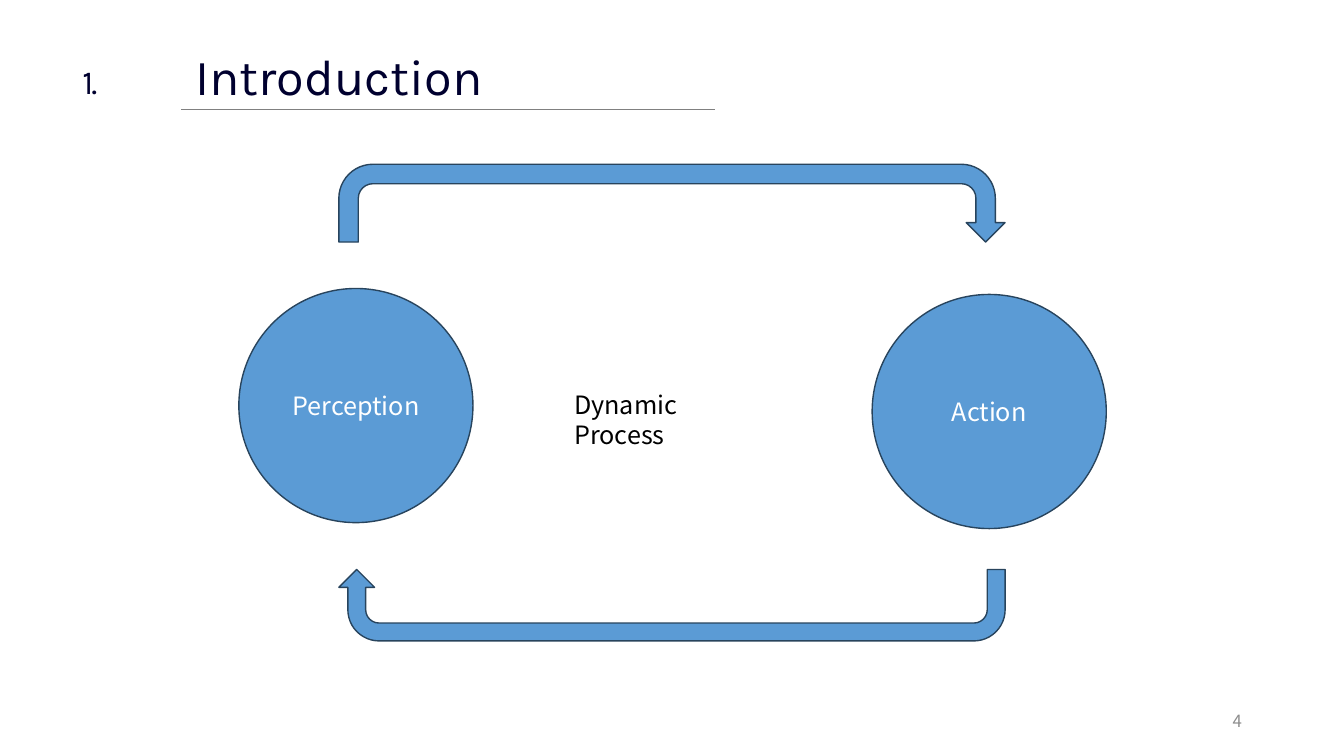
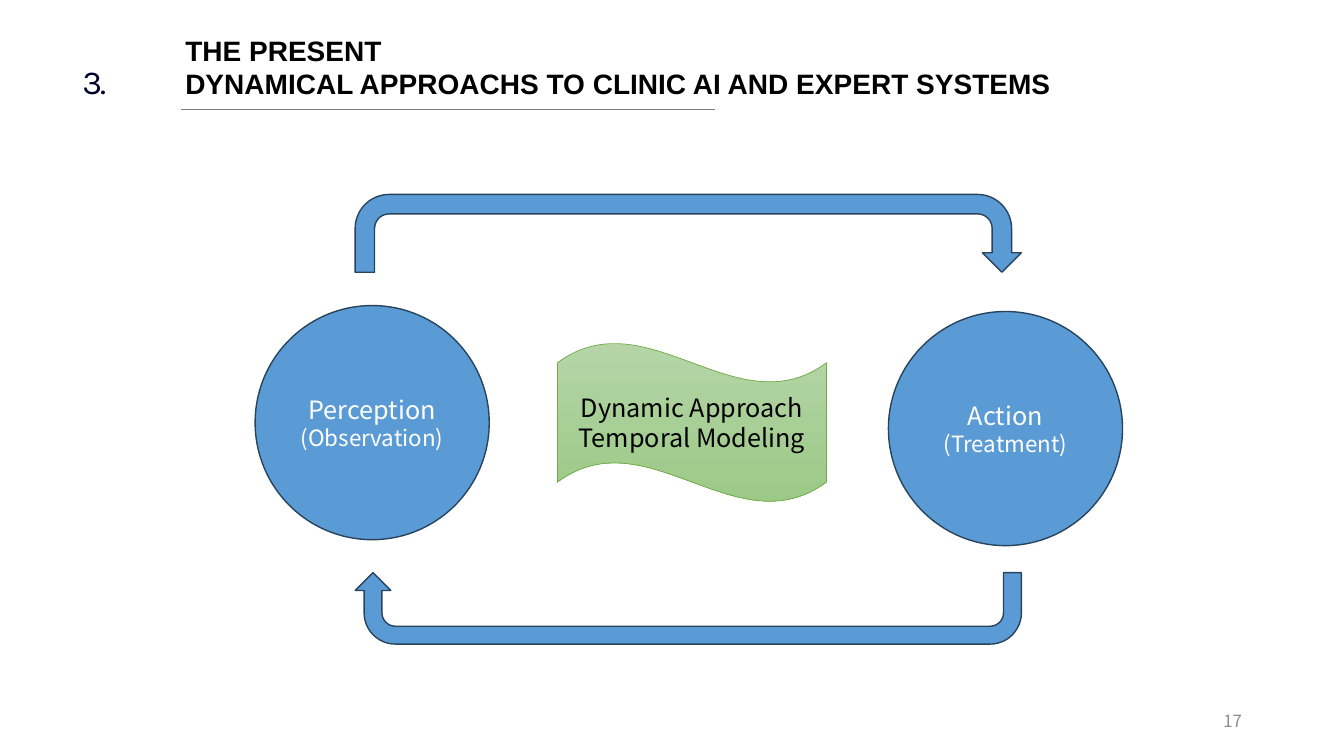
from dataclasses import dataclass

from lxml.etree import SubElement
from pptx import Presentation
from pptx.dml.color import RGBColor
from pptx.enum.shapes import MSO_CONNECTOR, MSO_SHAPE
from pptx.enum.text import MSO_ANCHOR, PP_ALIGN
from pptx.oxml.ns import qn
from pptx.shapes.autoshape import Shape
from pptx.slide import Slide
from pptx.util import Cm, Pt

COLORS = {
    "navy": "00002F", "black": "000000", "white": "FFFFFF",
    "rule": "808080", "page": "8C8C8C", "blue": "5B9BD5",
    "edge": "28445D", "green": "70AD47", "pale": "B5D5A7", "leaf": "9CC987",
}
SANS = "Noto Sans CJK KR"
DIAM = 5.9
BENDS = (0.25, 0.25, 0.25, 0.438, 1)


@dataclass(frozen=True)
class Box:
    left: float
    top: float
    width: float
    height: float


@dataclass(frozen=True)
class Style:
    size: float
    color: str
    font: str = SANS
    bold: bool = False
    align: PP_ALIGN = PP_ALIGN.LEFT
    track: int = 0


@dataclass(frozen=True)
class Cycle:
    left: float
    top: float
    upper: float
    lower: float
    sense: tuple[str, ...]
    act: tuple[str, ...]


@dataclass(frozen=True)
class Page:
    mark: str
    title: tuple[str, ...]
    head: Box
    style: Style
    cycle: Cycle
    note: tuple[str, ...]
    place: Box
    number: str
    wave: bool = False


MARK = Style(24, "navy", "Karla", track=-150)
FOOT = Style(12, "page", align=PP_ALIGN.RIGHT)
LABEL = Style(18, "white", align=PP_ALIGN.CENTER)
SUB = Style(16, "white", align=PP_ALIGN.CENTER)
NOTE = Style(18, "black")
CREST = Style(18, "black", align=PP_ALIGN.CENTER)

PAGES = (
    Page("1.", ("Introduction",), Box(4.67, 1.02, 26.64, 1.8),
         Style(36, "navy", "Karla"),
         Cycle(6.02, 7.27, 4.14, 14.35, ("Perception",), ("Action",)),
         ("Dynamic Process",), Box(14.22, 9.68, 5.41, 1.02), "4"),
    Page("3.", ("THE PRESENT",
                "DYNAMICAL APPROACHS TO CLINIC AI AND EXPERT SYSTEMS"),
         Box(4.42, 0.71, 26.64, 1.96), Style(20, "black", "Arial", True),
         Cycle(6.43, 7.7, 4.9, 14.43, ("Perception", "(Observation)"),
               ("Action", "(Treatment)")),
         ("Dynamic Approach", "Temporal Modeling"),
         Box(14.05, 8.64, 6.78, 4.01), "17", True),
)


def tint(name: str) -> RGBColor:
    return RGBColor.from_string(COLORS[name])


def span(box: Box) -> tuple[Cm, Cm, Cm, Cm]:
    return Cm(box.left), Cm(box.top), Cm(box.width), Cm(box.height)


def write(shape: Shape, lines: tuple[str, ...], *styles: Style,
          anchor: MSO_ANCHOR = MSO_ANCHOR.TOP) -> None:
    frame = shape.text_frame
    frame.word_wrap = True
    frame.vertical_anchor = anchor
    for row, line in enumerate(lines):
        style = styles[min(row, len(styles) - 1)]
        para = frame.add_paragraph() if row else frame.paragraphs[0]
        para.alignment = style.align
        run = para.add_run()
        run.text = line
        font = para.font
        font.name, font.size, font.bold = style.font, Pt(style.size), style.bold
        font.color.rgb = tint(style.color)
        if style.track:
            run.font._element.set("spc", str(style.track))


def add_text(slide: Slide, box: Box, lines: tuple[str, ...], style: Style,
             anchor: MSO_ANCHOR = MSO_ANCHOR.TOP) -> None:
    write(slide.shapes.add_textbox(*span(box)), lines, style, anchor=anchor)


def add_form(slide: Slide, kind: MSO_SHAPE, box: Box,
             edge: str = "edge", weight: float = 1) -> Shape:
    shape = slide.shapes.add_shape(kind, *span(box))
    shape.shadow.inherit = False
    shape.fill.solid()
    shape.fill.fore_color.rgb = tint("blue")
    shape.line.color.rgb = tint(edge)
    shape.line.width = Pt(weight)
    return shape


def add_rule(slide: Slide) -> None:
    line = slide.shapes.add_connector(
        MSO_CONNECTOR.STRAIGHT, Cm(4.57), Cm(2.75), Cm(18.03), Cm(2.75))
    line.line.color.rgb = tint("rule")
    line.line.width = Pt(0.5)
    SubElement(line._element.spPr, qn("a:effectLst"))


def add_wave(slide: Slide, box: Box, lines: tuple[str, ...]) -> None:
    wave = add_form(slide, MSO_SHAPE.WAVE, box, "green", 0.5)
    wave.fill.gradient()
    wave.fill.gradient_angle = 270
    for stop, name in zip(wave.fill.gradient_stops, ("pale", "leaf")):
        stop.color.rgb = tint(name)
    write(wave, lines, CREST, anchor=MSO_ANCHOR.MIDDLE)


def add_cycle(slide: Slide, cycle: Cycle) -> None:
    for lines, right, down in ((cycle.sense, 0, 0), (cycle.act, 15.96, 0.15)):
        box = Box(cycle.left + right, cycle.top + down, DIAM, DIAM)
        disc = add_form(slide, MSO_SHAPE.OVAL, box)
        write(disc, lines, LABEL, SUB, anchor=MSO_ANCHOR.MIDDLE)
    for top, height, turn in ((cycle.upper, 1.96, 0), (cycle.lower, 1.8, 180)):
        arrow = add_form(slide, MSO_SHAPE.U_TURN_ARROW,
                         Box(cycle.left + 2.52, top, 16.79, height))
        for spot, bend in enumerate(BENDS):
            arrow.adjustments[spot] = bend
        arrow.rotation = turn


def add_page(deck: Presentation, page: Page) -> None:
    slide = deck.slides.add_slide(deck.slide_layouts[6])
    add_rule(slide)
    add_text(slide, Box(1.83, 1.4, 2.97, 1.27), (page.mark,), MARK)
    add_text(slide, page.head, page.title, page.style)
    add_cycle(slide, page.cycle)
    if page.wave:
        add_wave(slide, page.place, page.note)
    else:
        add_text(slide, page.place, page.note, NOTE)
    add_text(slide, Box(23.93, 17.65, 7.62, 1.02), (page.number,), FOOT,
             MSO_ANCHOR.MIDDLE)


def main() -> None:
    deck = Presentation()
    deck.slide_width, deck.slide_height = Cm(33.87), Cm(19.05)
    for page in PAGES:
        add_page(deck, page)
    deck.save("out.pptx")


if __name__ == "__main__":
    main()
